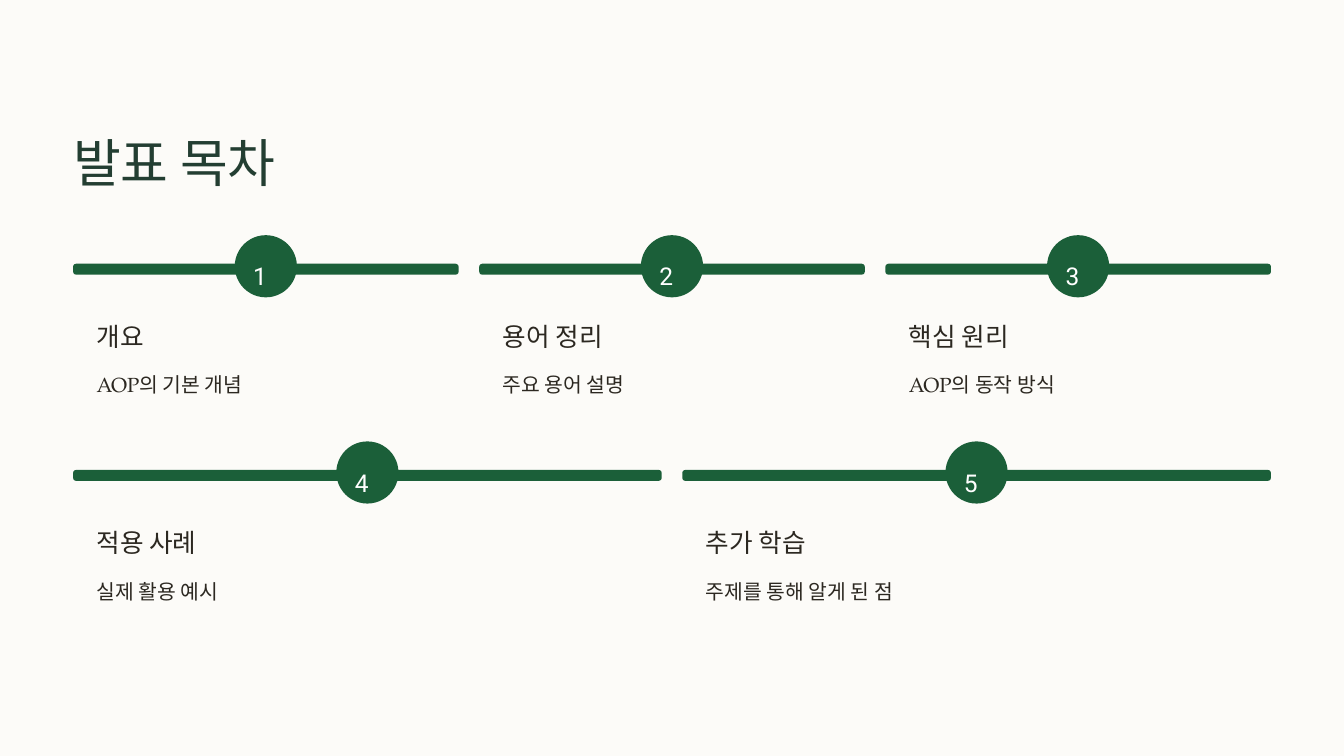
from pptx import Presentation
from pptx.dml.color import RGBColor
from pptx.enum.shapes import MSO_SHAPE
from pptx.util import Inches, Pt

CREAM = RGBColor(0xFC, 0xFB, 0xF8)
GREEN = RGBColor(0x1B, 0x5F, 0x39)
TITLE_GREEN = RGBColor(0x23, 0x3E, 0x32)
INK = RGBColor(0x2C, 0x28, 0x21)
WHITE = RGBColor(0xFF, 0xFF, 0xFF)
SANS, SERIF = "Roboto", "TeX Gyre Pagella"

deck = Presentation()
deck.slide_width, deck.slide_height = Inches(16), Inches(9)
slide = deck.slides.add_slide(deck.slide_layouts[6])
slide.background.fill.solid()
slide.background.fill.fore_color.rgb = CREAM


def add_block(left, top, width, height, rounding, color):
    block = slide.shapes.add_shape(
        MSO_SHAPE.ROUNDED_RECTANGLE,
        Inches(left), Inches(top), Inches(width), Inches(height))
    block.adjustments[0] = rounding
    block.shadow.inherit = False
    block.fill.solid()
    block.fill.fore_color.rgb = color
    block.line.fill.background()


def add_text(left, top, width, height, text, size, spacing, font, color):
    frame = slide.shapes.add_textbox(
        Inches(left), Inches(top), Inches(width), Inches(height)).text_frame
    frame.word_wrap = True
    frame.margin_left = frame.margin_right = 0
    frame.margin_top = frame.margin_bottom = 0
    paragraph = frame.paragraphs[0]
    paragraph.text = text
    paragraph.line_spacing = Pt(spacing)
    paragraph.font.size = Pt(size)
    paragraph.font.name = font
    paragraph.font.color.rgb = color


margin, gap, padding = 0.87, 0.245, 0.28
content_width = 16 - 2 * margin
first_row, row_pitch = 3.14, 2.455
badge = 0.74

agenda = [
    [("개요", "AOP의 기본 개념"),
     ("용어 정리", "주요 용어 설명"),
     ("핵심 원리", "AOP의 동작 방식")],
    [("적용 사례", "실제 활용 예시"),
     ("추가 학습", "주제를 통해 알게 된 점")],
]

add_text(margin, 1.53, 6.2, 0.78, "발표 목차", 44.5, 55.5, SANS, TITLE_GREEN)

number = 0
for row, topics in enumerate(agenda):
    top = first_row + row * row_pitch
    width = (content_width - gap * (len(topics) - 1)) / len(topics)
    for column, (heading, detail) in enumerate(topics):
        number += 1
        left = margin + column * (width + gap)
        badge_left = left + (width - badge) / 2
        text_left = left + padding
        add_block(left, top + 0.04, width, 1.83, 0.087, CREAM)
        add_block(left, top, width, 0.13, 0.279, GREEN)
        add_block(badge_left, top - 0.34, badge, badge, 0.5, GREEN)
        add_text(badge_left + 0.22, top - 0.15, 0.3, 0.37,
                 str(number), 21, 34, SANS, WHITE)
        add_text(text_left, top + 0.66, 3.1, 0.39,
                 heading, 22, 27.5, SANS, INK)
        add_text(text_left, top + 1.19, width - 2 * padding, 0.4,
                 detail, 17.5, 28.5, SERIF, INK)

deck.save("out.pptx")
